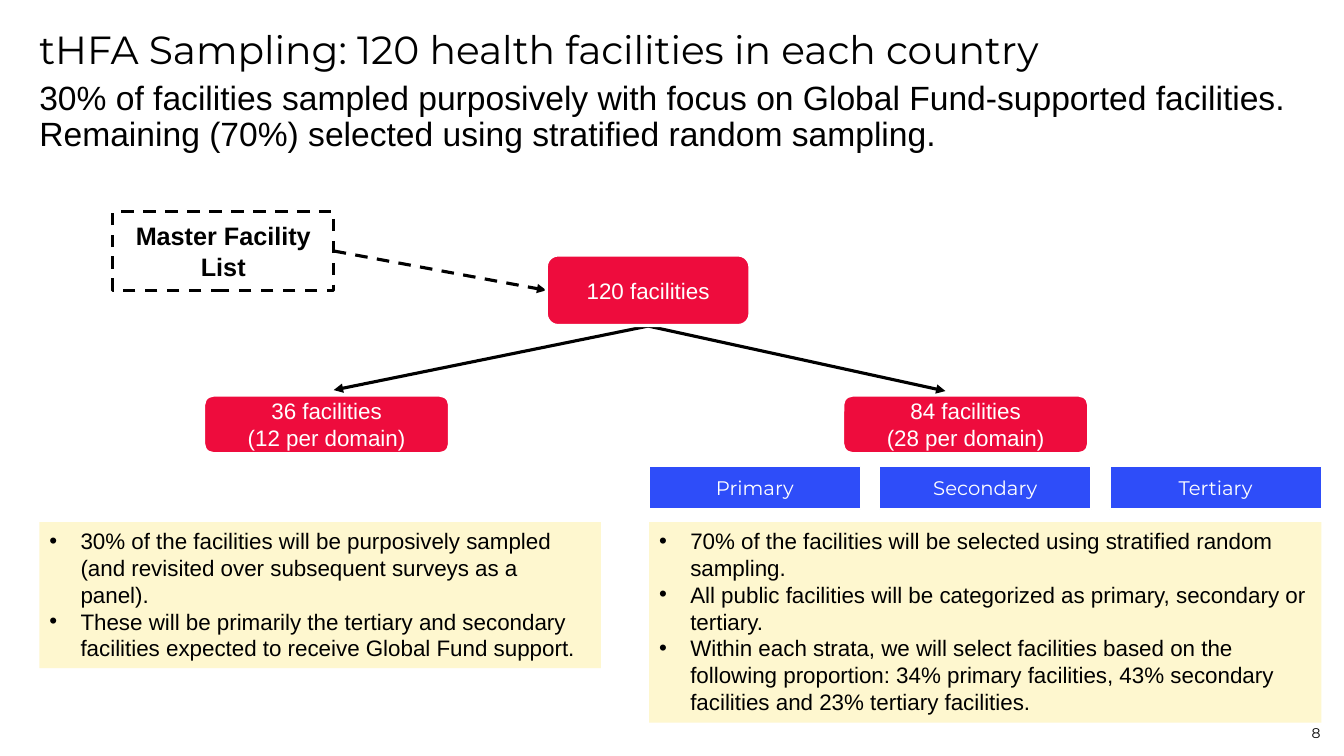
from lxml.etree import SubElement
from pptx import Presentation
from pptx.dml.color import RGBColor
from pptx.enum.dml import MSO_LINE
from pptx.enum.shapes import MSO_CONNECTOR, MSO_SHAPE
from pptx.enum.text import MSO_ANCHOR, MSO_AUTO_SIZE, PP_ALIGN
from pptx.oxml.ns import qn
from pptx.util import Inches, Pt

BLACK = RGBColor(0x00, 0x00, 0x00)
WHITE = RGBColor(0xFF, 0xFF, 0xFF)
RED = RGBColor(0xEE, 0x0C, 0x3D)
BLUE = RGBColor(0x2E, 0x4D, 0xF9)
CREAM = RGBColor(0xFE, 0xF7, 0xCF)

BODY = dict(name="Arial", size=Pt(16))
LABEL = dict(name="Montserrat", size=Pt(14))
BULLET_INDENT = Inches(0.31)


class Deck:
    """Draws on one slide; every position is a percentage of the slide's size."""

    def __init__(self):
        self.prs = Presentation()
        self.prs.slide_width = Inches(13.333)
        self.prs.slide_height = Inches(7.5)
        self.slide = self.prs.slides.add_slide(self.prs.slide_layouts[5])
        self.shapes = self.slide.shapes

    def place(self, *shares):
        """Turns alternating x and y percentages into lengths."""
        sides = (self.prs.slide_width, self.prs.slide_height)
        return [int(sides[i % 2] * share / 100) for i, share in enumerate(shares)]

    def set_text(self, sp, lines, font, color=BLACK, bullets=False, frame=None, **para):
        tf = sp.text_frame
        for key, value in {"word_wrap": True, **(frame or {})}.items():
            setattr(tf, key, value)
        for i, line in enumerate(lines):
            p = tf.add_paragraph() if i else tf.paragraphs[0]
            p.text = line
            for key, value in para.items():
                setattr(p, key, value)
            if bullets:
                self.bullet(p)
            for key, value in font.items():
                setattr(p.runs[0].font, key, value)
            p.runs[0].font.color.rgb = color

    def bullet(self, p):
        pPr = p._p.get_or_add_pPr()
        pPr.set("marL", str(BULLET_INDENT))
        pPr.set("indent", str(-BULLET_INDENT))
        SubElement(pPr, qn("a:buFont"), typeface="Arial")
        SubElement(pPr, qn("a:buChar"), char="•")

    def title(self, box, text, font):
        sp = self.shapes.title
        sp.left, sp.top, sp.width, sp.height = self.place(*box)
        self.plain(sp, [text], font, line_spacing=0.9, alignment=PP_ALIGN.LEFT)

    def text(self, box, text, font, **para):
        self.plain(self.shapes.add_textbox(*self.place(*box)), [text], font, **para)

    def plain(self, sp, lines, font, anchor=MSO_ANCHOR.TOP, **para):
        """Sets text without insets."""
        frame = dict.fromkeys(
            ("margin_left", "margin_top", "margin_right", "margin_bottom"), 0)
        frame.update(vertical_anchor=anchor, auto_size=MSO_AUTO_SIZE.NONE)
        self.set_text(sp, lines, font, frame=frame, **para)

    def shape(self, kind, box, fill, line=None, width=2.25, dash=None):
        sp = self.shapes.add_shape(kind, *self.place(*box))
        sp.shadow.inherit = False
        sp.fill.solid()
        sp.fill.fore_color.rgb = fill
        if line is None:
            sp.line.fill.background()
        else:
            self.stroke(sp.line, line, width, dash)
        return sp

    def stroke(self, line, color, width, dash=None):
        line.color.rgb = color
        line.width = Pt(width)
        if dash:
            line.dash_style = dash

    def node(self, box, lines, font=BODY, fill=RED, line=WHITE, color=WHITE,
             kind=MSO_SHAPE.ROUNDED_RECTANGLE, **outline):
        sp = self.shape(kind, box, fill, line, **outline)
        self.set_text(sp, lines, font, color, alignment=PP_ALIGN.CENTER,
                      frame={"vertical_anchor": MSO_ANCHOR.MIDDLE})

    def note(self, box, lines):
        sp = self.shape(MSO_SHAPE.RECTANGLE, box, CREAM)
        frame = dict(vertical_anchor=MSO_ANCHOR.TOP,
                     auto_size=MSO_AUTO_SIZE.SHAPE_TO_FIT_TEXT)
        self.set_text(sp, lines, BODY, bullets=True, frame=frame,
                      alignment=PP_ALIGN.LEFT)

    def arrow(self, start, end, dash=None):
        cx = self.shapes.add_connector(
            MSO_CONNECTOR.STRAIGHT, *self.place(*start, *end))
        self.stroke(cx.line, BLACK, 2.25, dash)
        spPr = cx._element.spPr
        SubElement(spPr.find(qn("a:ln")), qn("a:tailEnd"), type="triangle")
        SubElement(spPr, qn("a:effectLst"))


def main():
    deck = Deck()
    left, right, note_top = 2.93, 48.3, 69.07

    deck.title((left, 4, 94.13, 9.2),
               "tHFA Sampling: 120 health facilities in each country",
               dict(name="Montserrat", size=Pt(28)))
    deck.text((left, 10.8, 94.13, 6.8),
              "30% of facilities sampled purposively with focus on Global "
              "Fund-supported facilities. Remaining (70%) selected using "
              "stratified random sampling.",
              dict(name="Arial", size=Pt(24)), line_spacing=0.9)

    deck.note((left, note_top, 41.78, 19.33), [
        "30% of the facilities will be purposively sampled (and revisited over "
        "subsequent surveys as a panel).",
        "These will be primarily the tertiary and secondary facilities expected "
        "to receive Global Fund support.",
    ])
    deck.note((right, note_top, 50.03, 26.53), [
        "70% of the facilities will be selected using stratified random sampling.",
        "All public facilities will be categorized as primary, secondary or "
        "tertiary.",
        "Within each strata, we will select facilities based on the "
        "following proportion: 34% primary facilities, 43% "
        "secondary facilities and 23% tertiary facilities.",
    ])

    for x, count, per_domain in ((15.15, 36, 12), (62.7, 84, 28)):
        deck.node((x, 52.27, 18.3, 7.73),
                  [f"{count} facilities", f"({per_domain} per domain)"])
    for i, level in enumerate(("Primary", "Secondary", "Tertiary")):
        deck.node((right + 17.14 * i, 61.73, 15.75, 5.6), [level], LABEL, BLUE,
                  kind=MSO_SHAPE.RECTANGLE, width=1)
    deck.node((8.4, 28, 16.43, 10.4), ["Master Facility List"],
              dict(name="Arial", size=Pt(18), bold=True), WHITE, BLACK, BLACK,
              kind=MSO_SHAPE.RECTANGLE, dash=MSO_LINE.DASH)

    for end in ((24.83, 51.6), (70.35, 51.73)):
        deck.arrow((48.23, 43.13), end)
    deck.arrow((24.83, 33.2), (40.65, 38.4), MSO_LINE.DASH)
    deck.node((40.65, 33.73, 15.15, 9.33), ["120 facilities"])

    deck.text((90.9, 92.67, 7.35, 5.33), "8",
              dict(name="Montserrat", size=Pt(10)),
              anchor=MSO_ANCHOR.BOTTOM, alignment=PP_ALIGN.RIGHT)
    deck.prs.save("out.pptx")


if __name__ == "__main__":
    main()
